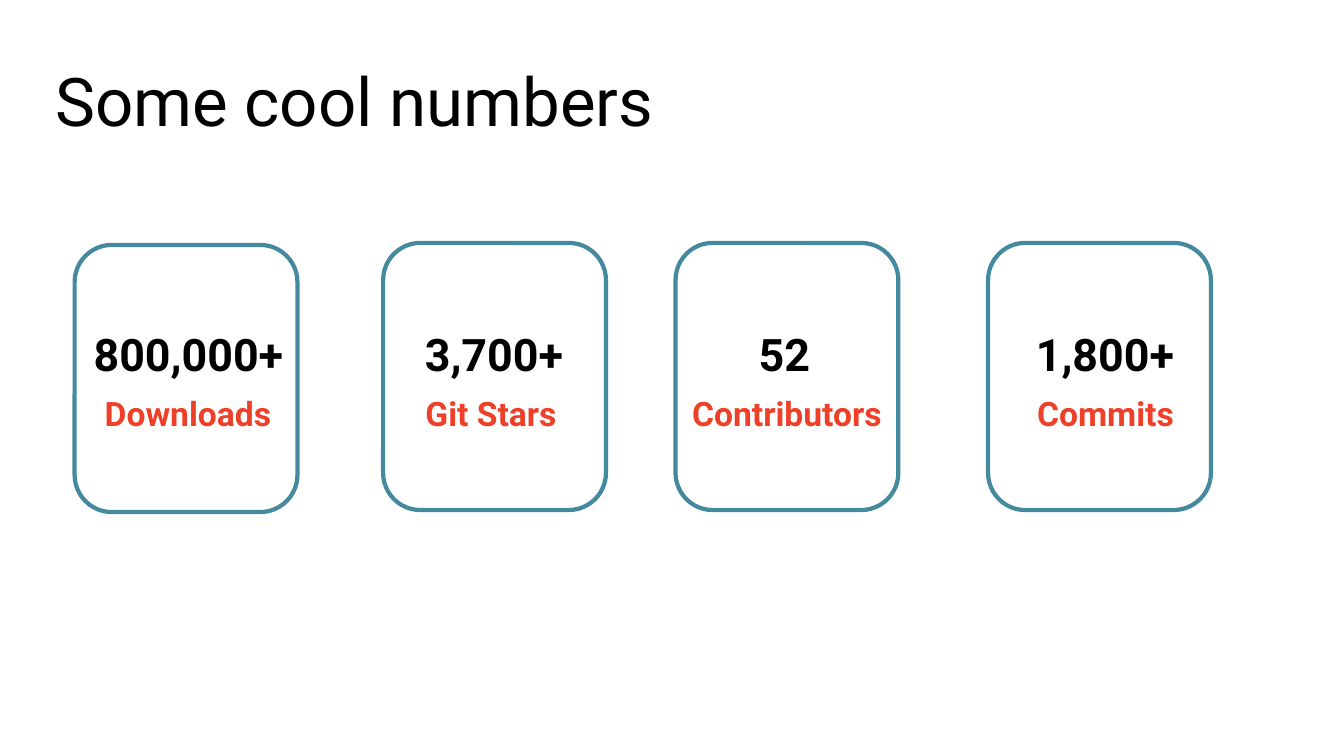
"""Build a slide with four headline project numbers in rounded cards."""
from pptx import Presentation
from pptx.dml.color import RGBColor
from pptx.enum import shapes, text
from pptx.util import Inches, Pt

TITLE = "Some cool numbers"
COLORS = {"black": "000000", "red": "EE4028", "teal": "44899E"}
CARD_WIDTH, CARD_HEIGHT = 2.21, 2.65
NUMBER_TOP, LABEL_TOP, TEXT_HEIGHT = 3.2, 3.84, 0.63
CENTER, LEFT = text.PP_ALIGN.CENTER, text.PP_ALIGN.LEFT

CARDS = [
    {"at": (0.74, 2.43), "number": ("800,000+", 0.81, 2.12, CENTER),
     "label": ("Downloads", 0.94, 2.12, LEFT)},
    {"at": (3.8, 2.41), "number": ("3,700+", 3.84, 2.12, CENTER),
     "label": ("Git Stars", 3.81, 2.12, CENTER)},
    {"at": (6.7, 2.41), "number": ("52", 6.72, 2.12, CENTER),
     "label": ("Contributors", 6.64, 2.33, CENTER)},
    {"at": (9.8, 2.41), "number": ("1,800+", 9.9, 2.12, CENTER),
     "label": ("Commits", 9.8, 2.33, CENTER)},
]
STYLES = {
    "title": ({"name": "Roboto", "size": Pt(48), "bold": False}, "black"),
    "number": ({"name": "Roboto", "size": Pt(32), "bold": True}, "black"),
    "label": ({"name": "Roboto", "size": Pt(24), "bold": True}, "red"),
}


def color(name):
    return RGBColor.from_string(COLORS[name])


def set_text(shape, words, style, alignment):
    frame = shape.text_frame
    frame.text = words
    frame_format = {
        "word_wrap": True, "auto_size": text.MSO_AUTO_SIZE.NONE,
        "vertical_anchor": text.MSO_ANCHOR.TOP,
        "margin_left": Inches(0.1), "margin_right": Inches(0.1),
        "margin_top": Inches(0.1), "margin_bottom": Inches(0.1),
    }
    for name, value in frame_format.items():
        setattr(frame, name, value)
    paragraph = frame.paragraphs[0]
    paragraph.alignment = alignment
    paragraph.line_spacing = 0.9
    font_format, color_name = STYLES[style]
    font = paragraph.runs[0].font
    for name, value in font_format.items():
        setattr(font, name, value)
    font.color.rgb = color(color_name)


def add_card(slide, card):
    for style, top in (("label", LABEL_TOP), ("number", NUMBER_TOP)):
        words, left, width, alignment = card[style]
        box = slide.shapes.add_textbox(
            Inches(left), Inches(top), Inches(width), Inches(TEXT_HEIGHT))
        set_text(box, words, style, alignment)
    left, top = card["at"]
    outline = slide.shapes.add_shape(
        shapes.MSO_SHAPE.ROUNDED_RECTANGLE, Inches(left), Inches(top),
        Inches(CARD_WIDTH), Inches(CARD_HEIGHT))
    outline.shadow.inherit = False
    outline.fill.background()
    outline.line.color.rgb = color("teal")
    outline.line.width = Pt(3)


def main():
    presentation = Presentation()
    presentation.slide_width = Inches(13.33)
    presentation.slide_height = Inches(7.5)
    slide = presentation.slides.add_slide(presentation.slide_layouts[5])
    title = slide.shapes.title
    title.left, title.top = Inches(0.45), Inches(0.58)
    title.width, title.height = Inches(12.42), Inches(0.84)
    set_text(title, TITLE, "title", LEFT)
    for card in CARDS:
        add_card(slide, card)
    presentation.save("out.pptx")


if __name__ == "__main__":
    main()
